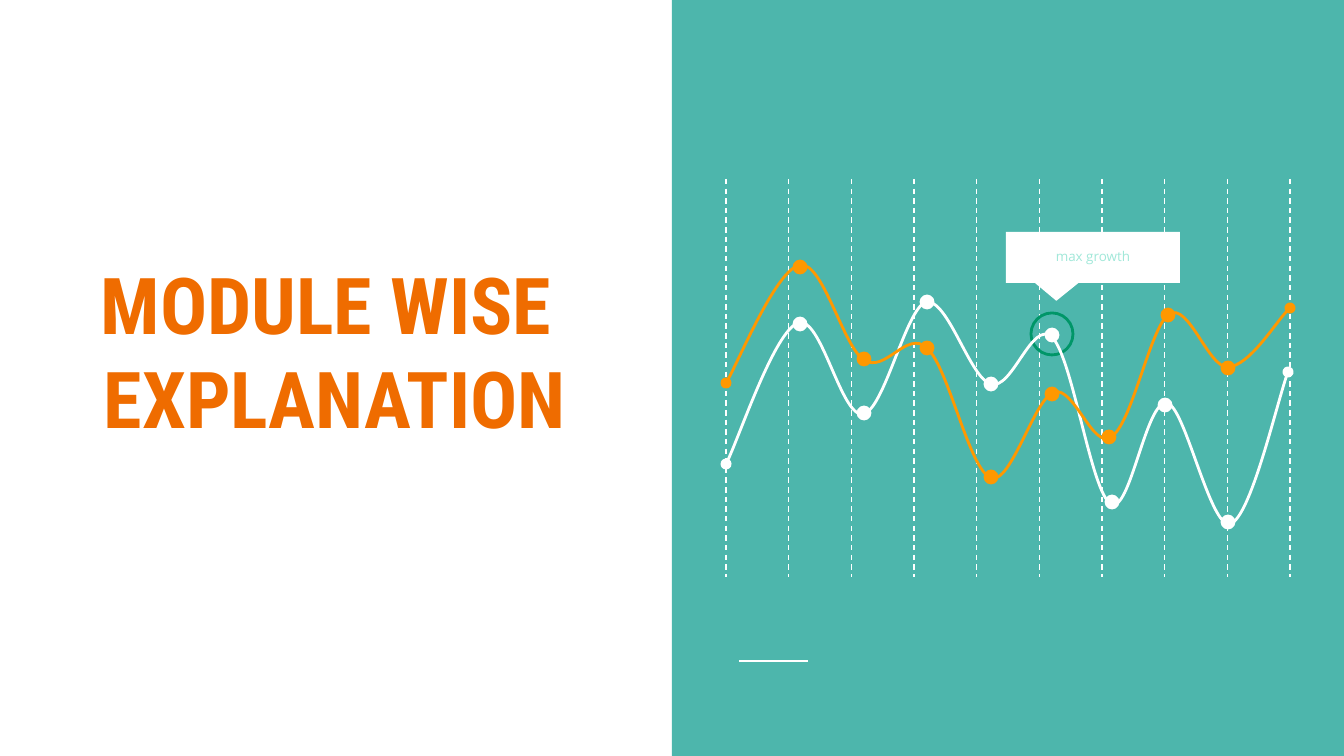
from lxml import etree
from pptx import Presentation
from pptx.dml.color import RGBColor
from pptx.enum.dml import MSO_LINE
from pptx.enum.shapes import MSO_CONNECTOR, MSO_SHAPE
from pptx.enum.text import MSO_ANCHOR, MSO_AUTO_SIZE, PP_ALIGN
from pptx.oxml.ns import qn
from pptx.util import Pt

RECTANGLE = MSO_SHAPE.RECTANGLE
OVAL = MSO_SHAPE.OVAL
CALLOUT = MSO_SHAPE.ROUNDED_RECTANGULAR_CALLOUT
STRAIGHT = MSO_CONNECTOR.STRAIGHT
DASH = MSO_LINE.DASH
CENTER = PP_ALIGN.CENTER
MIDDLE = MSO_ANCHOR.MIDDLE
BOTTOM = MSO_ANCHOR.BOTTOM

WHITE = RGBColor(0xFF, 0xFF, 0xFF)
TEAL = RGBColor(0x4D, 0xB6, 0xAC)
GREEN = RGBColor(0x00, 0x96, 0x68)
ORANGE = RGBColor(0xFF, 0x98, 0x00)
DARK_ORANGE = RGBColor(0xEF, 0x6C, 0x00)
MINT = RGBColor(0xA1, 0xE8, 0xD9)

SLIDE_WIDTH, SLIDE_HEIGHT = 1344, 756
SCALE = 9144000 / SLIDE_WIDTH
INSET = 13
MARKER_SIZE = 12
CURVE_WEIGHT = 1.5
GRID_LEFT, GRID_RIGHT, GRID_TOP, GRID_BOTTOM = 726, 1290, 179, 577
GRID_COUNT = 10

WHITE_CURVE = [
    (726, 464),
    (738, 441), (775, 331), (798, 323),
    (821, 314), (841, 418), (863, 414),
    (884, 411), (906, 308), (926, 302),
    (948, 298), (970, 379), (991, 384),
    (1012, 391), (1032, 319), (1052, 337),
    (1073, 358), (1091, 493), (1111, 504),
    (1130, 515), (1146, 399), (1167, 403),
    (1185, 406), (1210, 528), (1230, 524),
    (1250, 519), (1278, 398), (1288, 372),
]
WHITE_MARKERS = [(800, 324), (864, 413), (927, 302), (991, 384),
                 (1052, 335), (1112, 502), (1165, 405), (1228, 522)]
ORANGE_CURVE = [
    (726, 383),
    (738, 363), (777, 269), (800, 265),
    (823, 261), (843, 347), (864, 360),
    (885, 374), (907, 329), (927, 348),
    (949, 368), (969, 470), (991, 478),
    (1011, 485), (1034, 399), (1054, 392),
    (1074, 386), (1093, 450), (1111, 437),
    (1132, 425), (1150, 327), (1169, 314),
    (1189, 302), (1208, 368), (1228, 367),
    (1249, 366), (1279, 317), (1290, 308),
]
ORANGE_MARKERS = [(800, 267), (864, 359), (927, 348), (991, 477),
                  (1052, 394), (1109, 437), (1168, 315), (1228, 368)]


def px(length):
    return round(length * SCALE)


def add_shape(shapes, kind, box, fill=None, line=None):
    shape = shapes.add_shape(kind, *map(px, box))
    shape.shadow.inherit = False
    if fill is None:
        shape.fill.background()
    else:
        shape.fill.solid()
        shape.fill.fore_color.rgb = fill
    if line is None:
        shape.line.fill.background()
    else:
        shape.line.color.rgb = line
        shape.line.width = Pt(CURVE_WEIGHT)
    return shape


def add_line(shapes, start, end, weight, dash=None):
    connector = shapes.add_connector(STRAIGHT, *map(px, start + end))
    connector.line.color.rgb = WHITE
    connector.line.width = Pt(weight)
    if dash is not None:
        connector.line.dash_style = dash
    etree.SubElement(connector._element.spPr, qn("a:effectLst"))


def add_grid(slide):
    group = slide.shapes.add_group_shape()
    step = (GRID_RIGHT - GRID_LEFT) / (GRID_COUNT - 1)
    for index in range(GRID_COUNT):
        x = GRID_LEFT + index * step
        add_line(group.shapes, (x, GRID_TOP), (x, GRID_BOTTOM), 0.75, DASH)


def bend_segments(shape):
    segments = shape._element.xpath(".//a:lnTo")
    for first in range(0, len(segments), 3):
        curve = etree.Element(qn("a:cubicBezTo"))
        segments[first].addprevious(curve)
        for segment in segments[first:first + 3]:
            curve.append(segment[0])
            segment.getparent().remove(segment)


def add_series(slide, points, markers, color):
    group = slide.shapes.add_group_shape()
    builder = group.shapes.build_freeform(*points[0], scale=SCALE)
    builder.add_line_segments(points[1:], close=False)
    curve = builder.convert_to_shape()
    bend_segments(curve)
    curve.shadow.inherit = False
    curve.fill.background()
    curve.line.color.rgb = color
    curve.line.width = Pt(CURVE_WEIGHT)
    outline = curve.line._get_or_add_ln()
    for tag in ("a:headEnd", "a:tailEnd"):
        etree.SubElement(outline, qn(tag), type="oval")
    for x, y in markers:
        box = (x - MARKER_SIZE / 2, y - MARKER_SIZE / 2, MARKER_SIZE, MARKER_SIZE)
        add_shape(group.shapes, OVAL, box, color, color)


def fill_placeholder(slide, placeholder, box, text, font_name, size, color,
                     anchor, bold=False, line_spacing=1.0):
    slide.shapes._spTree.append(placeholder._element)
    placeholder.left, placeholder.top, placeholder.width, placeholder.height = map(px, box)
    frame = placeholder.text_frame
    frame.text = text
    frame.word_wrap = True
    frame.auto_size = MSO_AUTO_SIZE.NONE
    frame.vertical_anchor = anchor
    frame.margin_left = frame.margin_right = px(INSET)
    frame.margin_top = frame.margin_bottom = px(INSET)
    for paragraph in frame.paragraphs:
        paragraph.alignment = CENTER
        paragraph.line_spacing = line_spacing
        paragraph.space_before = Pt(0)
        properties = paragraph._p.get_or_add_pPr()
        properties.set("marL", "0")
        properties.set("indent", "0")
        etree.SubElement(properties, qn("a:buNone"))
        for run in paragraph.runs:
            run.font.name = font_name
            run.font.size = Pt(size)
            run.font.bold = bold
            run.font.color.rgb = color


def main():
    presentation = Presentation()
    presentation.slide_width = px(SLIDE_WIDTH)
    presentation.slide_height = px(SLIDE_HEIGHT)
    slide = presentation.slides.add_slide(presentation.slide_layouts[1])
    shapes = slide.shapes
    title, label = slide.placeholders

    half = SLIDE_WIDTH // 2
    add_shape(shapes, RECTANGLE, (half, 0, half, SLIDE_HEIGHT), TEAL)
    add_line(shapes, (739, 661), (808, 661), 1.5)
    add_grid(slide)
    add_shape(shapes, OVAL, (1031, 313, 42, 42), line=GREEN)
    fill_placeholder(slide, title, (39, 211, 592, 246), "MODULE WISE \nEXPLANATION",
                     "Roboto Condensed", 42, DARK_ORANGE, BOTTOM, bold=True)
    add_series(slide, WHITE_CURVE, WHITE_MARKERS, WHITE)
    callout = add_shape(shapes, CALLOUT, (1006, 232, 174, 51), WHITE)
    for index, value in enumerate((-0.21, 0.85, 0)):
        callout.adjustments[index] = value
    add_series(slide, ORANGE_CURVE, ORANGE_MARKERS, ORANGE)
    fill_placeholder(slide, label, (1006, 236, 174, 42), "max growth",
                     "Open Sans", 7.2, MINT, MIDDLE, line_spacing=0.95)
    presentation.save("out.pptx")


if __name__ == "__main__":
    main()
